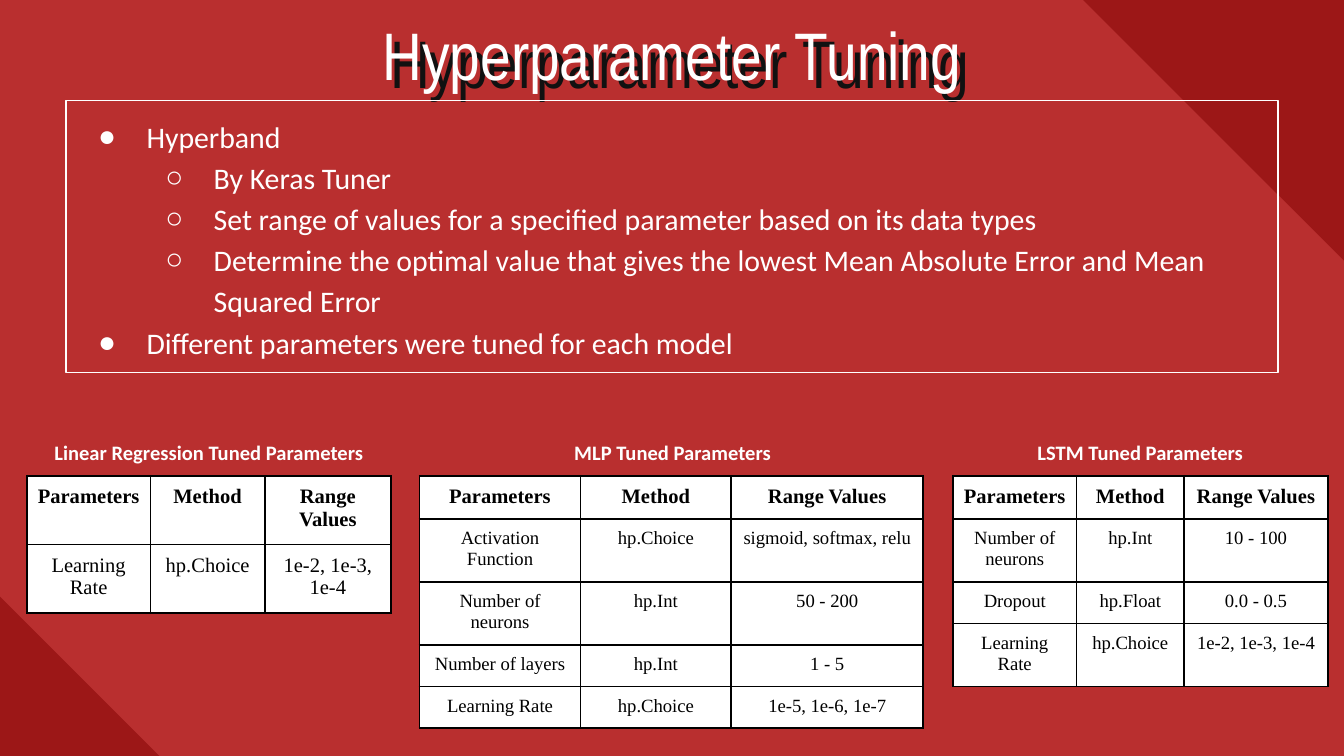
from lxml import etree
from pptx import Presentation
from pptx.dml.color import RGBColor
from pptx.enum import shapes, text
from pptx.oxml import parse_xml
from pptx.oxml.ns import nsdecls, qn
from pptx.util import Inches, Pt

RED, DARK, WHITE, BLACK = "B92F2F", "9C1717", "FFFFFF", "000000"
WIDTH = 10
TITLE = "Hyperparameter Tuning"
POINTS = [
    (0, "Hyperband"),
    (1, "By Keras Tuner"),
    (1, "Set range of values for a specified parameter based on its data types"),
    (1, "Determine the optimal value that gives the lowest Mean Absolute Error and Mean Squared Error"),
    (0, "Different parameters were tuned for each model"),
]
HEAD = ("Parameters", "Method", "Range Values")
TABLES = [
    dict(label="Linear Regression Tuned Parameters", start=0.02, left=0.2, size=11,
         cols=(0.92, 0.85, 0.94), rows=(0.51, 0.51),
         data=[("Learning Rate", "hp.Choice", "1e-2, 1e-3, 1e-4")]),
    dict(label="MLP Tuned Parameters", start=3.47, left=3.12, size=10,
         cols=(1.2, 1.12, 1.43), rows=(0.32, 0.47, 0.47, 0.31, 0.31),
         data=[("Activation Function", "hp.Choice", "sigmoid, softmax, relu"),
               ("Number of neurons", "hp.Int", "50 - 200"),
               ("Number of layers", "hp.Int", "1 - 5"),
               ("Learning Rate", "hp.Choice", "1e-5, 1e-6, 1e-7")]),
    dict(label="LSTM Tuned Parameters", start=6.95, left=7.09, size=10,
         cols=(0.92, 0.8, 1.07), rows=(0.32, 0.47, 0.31, 0.47),
         data=[("Number of neurons", "hp.Int", "10 - 100"),
               ("Dropout", "hp.Float", "0.0 - 0.5"),
               ("Learning Rate", "hp.Choice", "1e-2, 1e-3, 1e-4")]),
]


def paint(fmt, color):
    fmt.solid()
    fmt.fore_color.rgb = RGBColor.from_string(color)


def place(shape, left, top, width, height):
    shape.left, shape.top = Inches(left), Inches(top)
    shape.width, shape.height = Inches(width), Inches(height)


def inset(box, size):
    box.margin_left = box.margin_right = Inches(size)
    box.margin_top = box.margin_bottom = Inches(size)


def write(para, words, size=11, font="Calibri", color=WHITE, bold=False,
          align=text.PP_ALIGN.CENTER, space=1.0):
    para.alignment, para.line_spacing = align, space
    para.space_before = Pt(0)
    run = para.add_run()
    run.text = words
    run.font.size, run.font.name, run.font.bold = Pt(size), font, bold
    paint(run.font.fill, color)


def bullet(para, level):
    para.level = level
    props = para._p.get_or_add_pPr()
    props.set("marL", str(Inches(0.5 * (level + 1))))
    props.set("indent", str(Inches(-0.36)))
    tint = etree.SubElement(props, qn("a:buClr"))
    etree.SubElement(tint, qn("a:srgbClr"), val=WHITE)
    etree.SubElement(props, qn("a:buChar"), char="●○"[level])


def border(cell):
    props = cell._tc.get_or_add_tcPr()
    for side in "LRTB":
        line = etree.SubElement(props, qn("a:ln" + side), w=str(Pt(1)))
        fill = etree.SubElement(line, qn("a:solidFill"))
        etree.SubElement(fill, qn("a:srgbClr"), val=BLACK)


def corner(slide, left, top, side, turn):
    shape = slide.shapes.add_shape(
        shapes.MSO_SHAPE.RIGHT_TRIANGLE, *map(Inches, (left, top, side, side)))
    shape.rotation = turn
    shape.shadow.inherit = False
    paint(shape.fill, DARK)
    shape.line.fill.background()
    # Send behind the placeholders
    shape.element.getparent().insert(2, shape.element)


def add_title(slide):
    title = slide.shapes.title
    place(title, 2.13, 0, 5.74, 0.65)
    box = title.text_frame
    inset(box, 0.1)
    box.word_wrap, box.auto_size = True, text.MSO_AUTO_SIZE.NONE
    box.vertical_anchor = text.MSO_ANCHOR.TOP
    write(box.paragraphs[0], TITLE, size=36, font="Arial Narrow")
    title.element.spPr.append(parse_xml(
        f'<a:effectLst {nsdecls("a")}><a:outerShdw dist="{Inches(0.08)}" dir="2700000">'
        f'<a:srgbClr val="111111"/></a:outerShdw></a:effectLst>'))


def add_points(slide):
    body = slide.placeholders[1]
    place(body, 0.49, 0.75, 9.02, 2.02)
    paint(body.line.fill, WHITE)
    body.line.width = Pt(0.75)
    box = body.text_frame
    inset(box, 0.1)
    box.word_wrap, box.auto_size = True, text.MSO_AUTO_SIZE.NONE
    box.vertical_anchor = text.MSO_ANCHOR.MIDDLE
    for i, (level, words) in enumerate(POINTS):
        para = box.add_paragraph() if i else box.paragraphs[0]
        bullet(para, level)
        write(para, words, size=16, align=text.PP_ALIGN.LEFT, space=1.15)


def add_grid(slide, spec):
    cols, rows = spec["cols"], spec["rows"]
    grid = slide.shapes.add_table(
        len(rows), len(cols),
        *map(Inches, (spec["left"], 3.54, sum(cols), sum(rows)))).table
    for col, width in zip(grid.columns, cols):
        col.width = Inches(width)
    for r, (height, line) in enumerate(zip(rows, [HEAD] + spec["data"])):
        grid.rows[r].height = Inches(height)
        for c, words in enumerate(line):
            cell = grid.cell(r, c)
            inset(cell, 0.07)
            border(cell)
            paint(cell.fill, WHITE)
            write(cell.text_frame.paragraphs[0], words, font="Times New Roman",
                  color=BLACK, bold=r == 0, size=spec["size"] if r else 11)


def add_label(slide, spec):
    box = slide.shapes.add_textbox(
        *map(Inches, (spec["start"], 3.15, 3.07, 0.39))).text_frame
    inset(box, 0.1)
    box.word_wrap = True
    write(box.paragraphs[0], spec["label"], bold=True, space=1.15)


def main():
    deck = Presentation()
    deck.slide_width, deck.slide_height = Inches(WIDTH), Inches(WIDTH * 9 / 16)
    slide = deck.slides.add_slide(deck.slide_layouts[1])
    paint(slide.background.fill, RED)
    corner(slide, 0, 4.44, 1.19, 0)
    corner(slide, 8.06, 0, 1.94, 180)
    add_title(slide)
    add_points(slide)
    for add in (add_grid, add_label):
        for spec in TABLES:
            add(slide, spec)
    deck.save("out.pptx")


if __name__ == "__main__":
    main()
